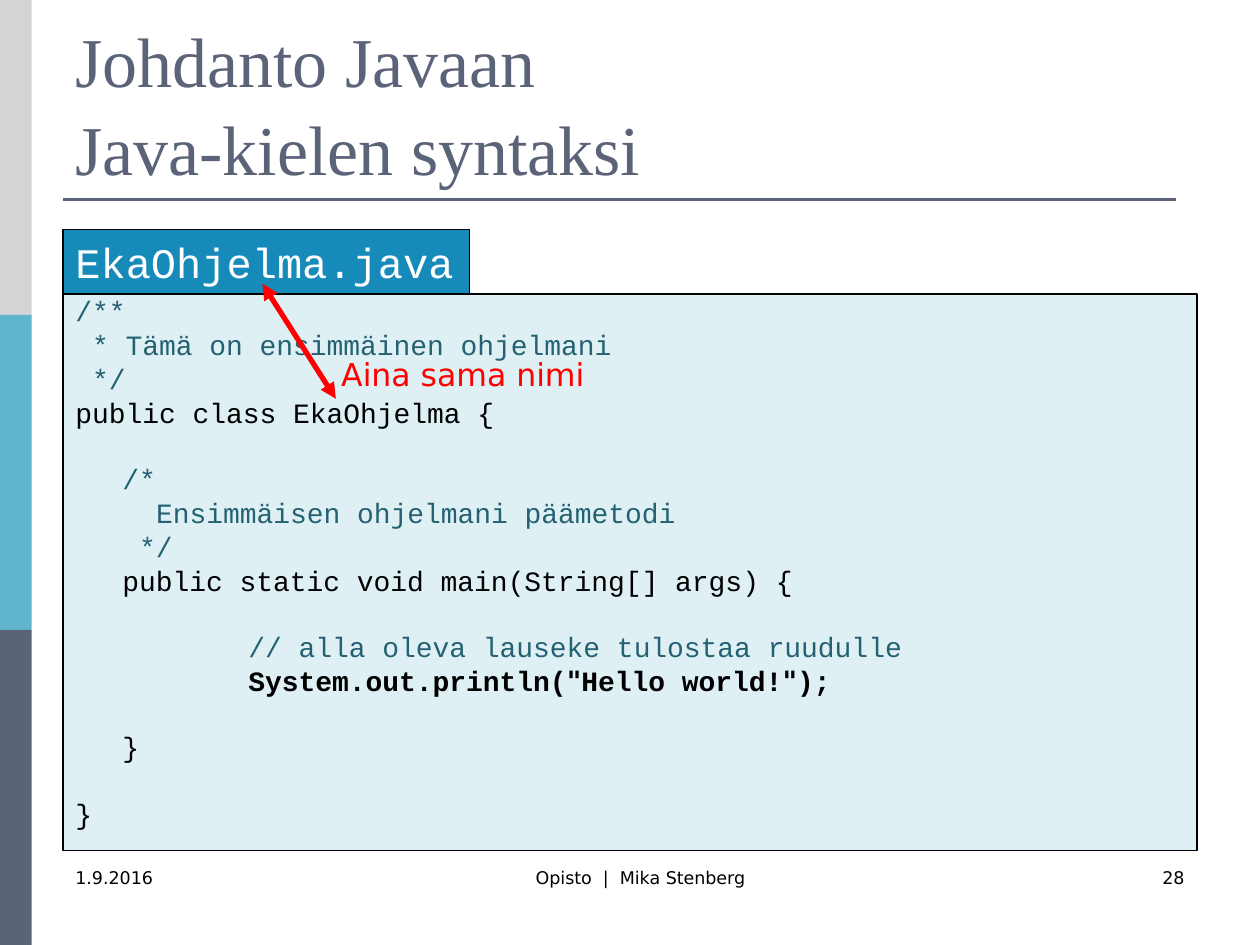
from dataclasses import dataclass

from lxml import etree
from pptx import Presentation
from pptx.dml.color import RGBColor
from pptx.enum.shapes import MSO_CONNECTOR, MSO_SHAPE
from pptx.enum.text import MSO_ANCHOR, PP_ALIGN
from pptx.oxml.ns import qn
from pptx.util import Cm, Pt

RECT = MSO_SHAPE.RECTANGLE
LINE = MSO_CONNECTOR.STRAIGHT
TOP, MIDDLE, BOTTOM = MSO_ANCHOR.TOP, MSO_ANCHOR.MIDDLE, MSO_ANCHOR.BOTTOM
LEFT, CENTER, RIGHT = PP_ALIGN.LEFT, PP_ALIGN.CENTER, PP_ALIGN.RIGHT

GREY = RGBColor(0xD4, 0xD4, 0xD6)
AQUA = RGBColor(0x60, 0xB5, 0xCC)
SLATE = RGBColor(0x5A, 0x63, 0x78)
BLUE = RGBColor(0x16, 0x8B, 0xBA)
PALE = RGBColor(0xDF, 0xF0, 0xF5)
TEAL = RGBColor(0x24, 0x61, 0x72)
RED = RGBColor(0xFF, 0x00, 0x00)
BLACK = RGBColor(0x00, 0x00, 0x00)
WHITE = RGBColor(0xFF, 0xFF, 0xFF)

MONO, SANS, SERIF = "Courier New", "DejaVu Sans", "Times New Roman"
STEP, TAB, CHAR = 0.95, 3.49, 0.34
GAP, SKIP = 4, 22.5


@dataclass
class Box:
    left: float
    top: float
    width: float
    height: float


@dataclass
class Font:
    face: str
    size: float
    color: RGBColor
    bold: bool = False


@dataclass
class Code:
    runs: list[tuple[str, Font]]
    indent: float = 0
    space: float = GAP


@dataclass
class Label:
    box: Box
    lines: list[str]
    font: Font
    align: PP_ALIGN = LEFT
    anchor: MSO_ANCHOR = TOP
    wrap: bool = True
    pitch: float = 1.0


NOTE = Font(MONO, 16, TEAL)
PLAIN = Font(MONO, 16, BLACK)
BOLD = Font(MONO, 16, BLACK, True)
QUOTE = Font(SANS, 16, BLACK, True)
SMALL = Font(SANS, 10, BLACK)

CODE = [
    Code([("/**", NOTE)]),
    Code([(" * Tämä on ensimmäinen ohjelmani", NOTE)]),
    Code([(" */", NOTE)]),
    Code([("public class EkaOhjelma {", PLAIN)]),
    Code([("/*", NOTE)], STEP, SKIP),
    Code([("Ensimmäisen ohjelmani päämetodi", NOTE)], STEP + 2 * CHAR),
    Code([(" */", NOTE)], STEP),
    Code([("public static void main(String[] args) {", PLAIN)], STEP),
    Code([("// alla oleva lauseke tulostaa ruudulle", NOTE)], TAB, SKIP),
    Code([("System.out.println(", BOLD), ('"', QUOTE), ("Hello world!", BOLD),
          ('"', QUOTE), (");", BOLD)], TAB),
    Code([("}", PLAIN)], STEP, SKIP),
    Code([("}", PLAIN)], 0, SKIP),
]

LABELS = [
    Label(Box(1.27, 17.35, 5.92, 1.27), ["1.9.2016"], SMALL),
    Label(Box(7.62, 17.35, 10.58, 1.27), ["Opisto  |  Mika Stenberg"], SMALL, CENTER),
    Label(Box(18.21, 17.35, 5.92, 1.27), ["28"], SMALL, RIGHT),
    Label(Box(1.27, 0.76, 22.86, 3.18), ["Johdanto Javaan", "Java-kielen syntaksi"],
          Font(SERIF, 40, SLATE), anchor=BOTTOM, pitch=1.04),
]
HINT = Label(Box(6.63, 7.04, 5.44, 1.02), ["Aina sama nimi"], Font(SANS, 18, RED), wrap=False)


def place(box: Box) -> tuple:
    return Cm(box.left), Cm(box.top), Cm(box.width), Cm(box.height)


def add_run(para, text: str, font: Font) -> None:
    run = para.add_run()
    run.text = text
    run.font.name = font.face
    run.font.size = Pt(font.size)
    run.font.bold = font.bold
    run.font.color.rgb = font.color


def add_rect(shapes, box: Box, fill: RGBColor, edge: RGBColor | None = None):
    rect = shapes.add_shape(RECT, *place(box))
    rect.shadow.inherit = False
    rect.fill.solid()
    rect.fill.fore_color.rgb = fill
    if edge is None:
        rect.line.fill.background()
    else:
        rect.line.color.rgb = edge
        rect.line.width = Pt(0.75)
    return rect


def add_line(shapes, start: tuple, end: tuple, color: RGBColor, width: float, heads: bool = False) -> None:
    link = shapes.add_connector(LINE, *(Cm(n) for n in start + end))
    link.line.color.rgb = color
    link.line.width = Pt(width)
    if heads:
        for tag in ("a:headEnd", "a:tailEnd"):
            etree.SubElement(link.line._get_or_add_ln(), qn(tag), type="triangle")
    etree.SubElement(link._element.spPr, qn("a:effectLst"))


def add_label(shapes, label: Label) -> None:
    frame = shapes.add_textbox(*place(label.box)).text_frame
    frame.word_wrap = label.wrap
    frame.vertical_anchor = label.anchor
    para = frame.paragraphs[0]
    para.alignment = label.align
    para.line_spacing = label.pitch
    for i, line in enumerate(label.lines):
        if i:
            para.add_line_break()
        add_run(para, line, label.font)


def add_code(frame, lines: list[Code]) -> None:
    frame.word_wrap = True
    frame.vertical_anchor = TOP
    for i, line in enumerate(lines):
        para = frame.add_paragraph() if i else frame.paragraphs[0]
        para.alignment = LEFT
        para.line_spacing = 0.8
        para.space_before = Pt(line.space)
        para._p.get_or_add_pPr().set("marL", str(Cm(line.indent)))
        for text, font in line.runs:
            add_run(para, text, font)


def main() -> None:
    deck = Presentation()
    deck.slide_width, deck.slide_height = Cm(25.4), Cm(19.05)
    shapes = deck.slides.add_slide(deck.slide_layouts[6]).shapes

    for i, color in enumerate((GREY, AQUA, SLATE)):
        add_rect(shapes, Box(0, i * 6.35, 0.64, 6.35), color)
    add_line(shapes, (1.27, 4.02), (23.7, 4.02), SLATE, 1.5)
    for label in LABELS:
        add_label(shapes, label)

    file = add_rect(shapes, Box(1.27, 4.63, 8.2, 1.3), BLUE, BLACK).text_frame
    file.word_wrap = False
    file.vertical_anchor = MIDDLE
    file.paragraphs[0].alignment = LEFT
    add_run(file.paragraphs[0], "EkaOhjelma.java", Font(MONO, 24, WHITE))

    body = add_rect(shapes, Box(1.27, 5.93, 22.86, 11.22), PALE, BLACK)
    add_code(body.text_frame, CODE)
    add_line(shapes, (5.29, 5.72), (6.77, 8.04), RED, 3, True)
    add_label(shapes, HINT)
    deck.save("out.pptx")


if __name__ == "__main__":
    main()
